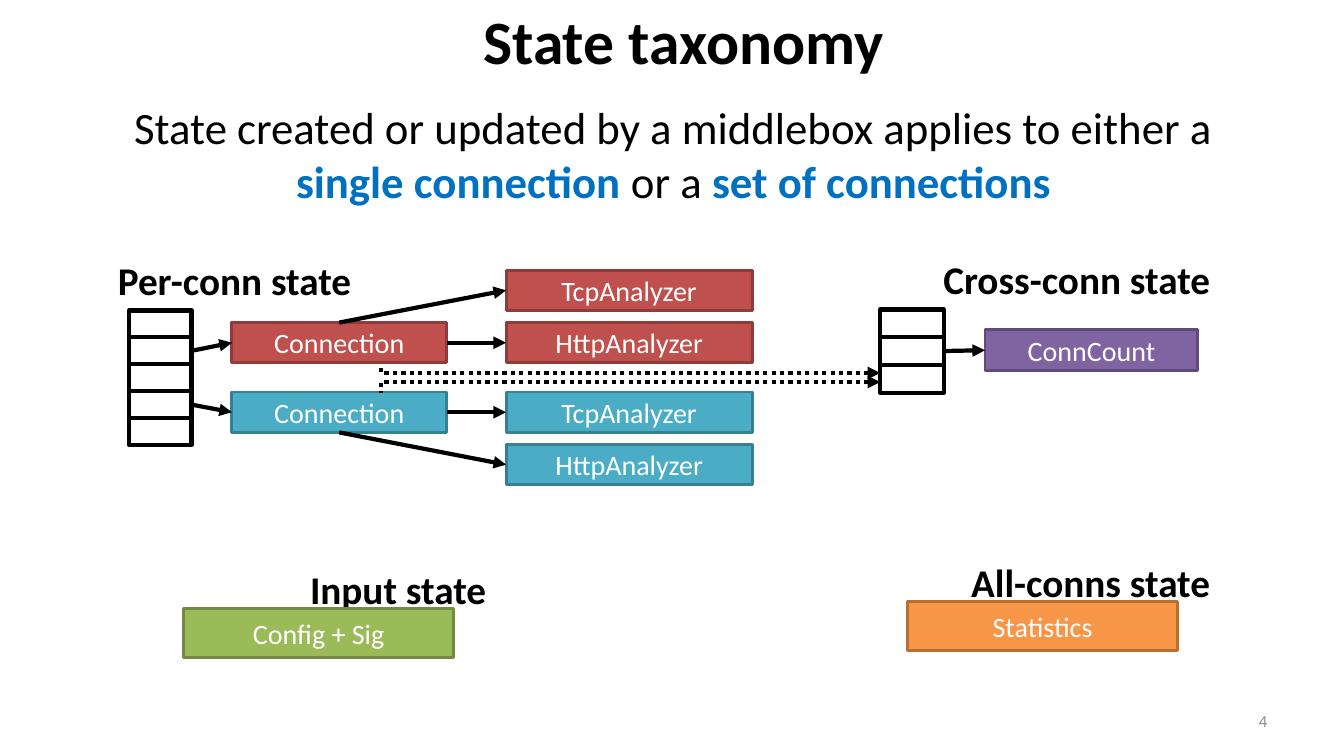
"""Build the slide that sorts middlebox state into a taxonomy."""
from lxml import etree
from pptx import Presentation
from pptx import util as u
from pptx.dml.color import RGBColor
from pptx.enum import dml, shapes, text
from pptx.oxml.ns import qn

BLACK = RGBColor(0x00, 0x00, 0x00)
WHITE = RGBColor(0xFF, 0xFF, 0xFF)
GREY = RGBColor(0x8C, 0x8C, 0x8C)
BLUE = RGBColor(0x00, 0x70, 0xC0)
RED_PAIR = RGBColor(0xC0, 0x50, 0x4D), RGBColor(0x8E, 0x3B, 0x39)
TEAL_PAIR = RGBColor(0x4B, 0xAC, 0xC6), RGBColor(0x37, 0x7F, 0x92)
PURPLE_PAIR = RGBColor(0x80, 0x64, 0xA2), RGBColor(0x5F, 0x4A, 0x78)
ORANGE_PAIR = RGBColor(0xF7, 0x96, 0x46), RGBColor(0xB7, 0x6F, 0x34)
GREEN_PAIR = RGBColor(0x9B, 0xBB, 0x59), RGBColor(0x73, 0x8A, 0x42)
LEFT, CENTER, RIGHT = text.PP_ALIGN.LEFT, text.PP_ALIGN.CENTER, text.PP_ALIGN.RIGHT
TOP, MIDDLE = text.MSO_ANCHOR.TOP, text.MSO_ANCHOR.MIDDLE
SIDE_TOP, SIDE_LEFT, SIDE_BOTTOM, SIDE_RIGHT = range(4)


def write(frame, *pieces, size=20, color=BLACK, bold=False, align=CENTER,
          anchor=MIDDLE, wrap=True):
    frame.auto_size = text.MSO_AUTO_SIZE.NONE
    frame.word_wrap = wrap
    frame.vertical_anchor = anchor
    paragraph = frame.paragraphs[0]
    paragraph.alignment = align
    for piece in pieces:
        words, tint, heavy = (piece, color, bold) if isinstance(piece, str) else piece
        run = paragraph.add_run()
        run.text = words
        run.font.name = "Calibri"
        run.font.size = u.Pt(size)
        run.font.bold = heavy
        run.font.color.rgb = tint
    return paragraph


class TaxonomySlide:
    def __init__(self, deck):
        self.slide = deck.slides.add_slide(deck.slide_layouts[1])
        self.heavy, self.thin = u.Pt(3), u.Pt(2)

    def placeholder(self, index, place, *pieces, **style):
        holder = self.slide.placeholders[index]
        holder.left, holder.top, holder.width, holder.height = map(u.Inches, place)
        return write(holder.text_frame, *pieces, **style)

    def label(self, place, words, **style):
        caption = self.slide.shapes.add_textbox(*map(u.Inches, place))
        write(caption.text_frame, words, **style)

    def heading(self, place, words, align=RIGHT):
        self.label(place, words, size=28, bold=True, align=align, anchor=TOP, wrap=False)

    def rectangle(self, place, fill, edge, weight):
        block = self.slide.shapes.add_shape(
            shapes.MSO_SHAPE.RECTANGLE, *map(u.Inches, place))
        block.shadow.inherit = False
        block.fill.solid()
        block.fill.fore_color.rgb = fill
        block.line.color.rgb = edge
        block.line.width = weight
        return block

    def box(self, place, words, pair):
        block = self.rectangle(place, *pair, self.thin)
        write(block.text_frame, words, color=WHITE)
        return block

    def stack(self, left, top, width, pitch, count):
        return [self.rectangle((left, top + row * pitch, width, pitch),
                               WHITE, BLACK, self.heavy) for row in range(count)]

    def line(self, kind, ends, arrow_end):
        link = self.slide.shapes.add_connector(kind, *map(u.Inches, ends))
        link.line.color.rgb = BLACK
        link.line.width = self.heavy
        properties = link._element.spPr
        etree.SubElement(properties, qn("a:effectLst"))
        return link, lambda: etree.SubElement(
            link.line._get_or_add_ln(), qn(arrow_end)).set("type", "triangle")

    def arrow(self, source, source_side, target):
        link, add_head = self.line(shapes.MSO_CONNECTOR.STRAIGHT, (0, 0, 1, 1), "a:tailEnd")
        link.begin_connect(source, source_side)
        link.end_connect(target, SIDE_LEFT)
        add_head()

    def dotted_elbow(self, tip_x, tip_y, start_x, start_y):
        link, add_head = self.line(shapes.MSO_CONNECTOR.ELBOW,
                                   (tip_x, tip_y, start_x, start_y), "a:headEnd")
        link._element.spPr.find(qn("a:prstGeom")).set("prst", "bentConnector2")
        link.line.dash_style = dml.MSO_LINE.ROUND_DOT
        add_head()


def main():
    deck = Presentation()
    deck.slide_width, deck.slide_height = u.Inches(13.33), u.Inches(7.5)
    page = TaxonomySlide(deck)

    page.placeholder(0, (1.03, -0.34, 11.5, 1.48), "State taxonomy", size=44, bold=True)
    statement = page.placeholder(
        1, (0.68, 0.94, 12, 1.25),
        "State created or updated by a middlebox applies to either a ",
        ("single connection ", BLUE, True), "or a ",
        ("set of connections", BLUE, True), size=32, anchor=TOP)
    layout = statement._p.get_or_add_pPr()
    layout.set("marL", "0")
    layout.set("indent", "0")
    etree.SubElement(layout, qn("a:buNone"))

    page.heading((1.07, 2.49, 2.55, 0.57), "Per-conn state", align=LEFT)
    table_cells = page.stack(1.28, 3.08, 0.62, 0.267, 5)
    flows = [
        (RED_PAIR, table_cells[1], 3.2, SIDE_TOP, (2.68, 3.2)),
        (TEAL_PAIR, table_cells[3], 3.89, SIDE_BOTTOM, (3.89, 4.41)),
    ]
    for pair, cell, top, slanted_side, analyzer_tops in flows:
        connection = page.box((2.3, top, 2.13, 0.4), "Connection", pair)
        page.arrow(cell, SIDE_RIGHT, connection)
        for name, analyzer_top in zip(("TcpAnalyzer", "HttpAnalyzer"), analyzer_tops):
            analyzer = page.box((5.02, analyzer_top, 2.44, 0.4), name, pair)
            side = SIDE_RIGHT if analyzer_top == top else slanted_side
            page.arrow(connection, side, analyzer)

    page.heading((9.22, 2.48, 2.88, 0.57), "Cross-conn state")
    shared_cells = page.stack(8.73, 3.07, 0.63, 0.275, 3)
    conn_count = page.box((9.77, 3.27, 2.11, 0.41), "ConnCount", PURPLE_PAIR)
    page.arrow(shared_cells[1], SIDE_RIGHT, conn_count)
    for tip_y, start_y in ((3.7, 3.61), (3.79, 3.9)):
        page.dotted_elbow(8.73, tip_y, 3.78, start_y)

    page.heading((9.5, 5.49, 2.6, 0.57), "All-conns state")
    page.box((9, 5.97, 2.68, 0.48), "Statistics", ORANGE_PAIR)
    page.heading((2.95, 5.56, 1.97, 0.57), "Input state")
    page.box((1.82, 6.04, 2.68, 0.48), "Config + Sig", GREEN_PAIR)
    page.label((9.56, 6.95, 3.11, 0.4), "4", size=12, color=GREY, align=RIGHT)

    deck.save("out.pptx")


if __name__ == "__main__":
    main()
